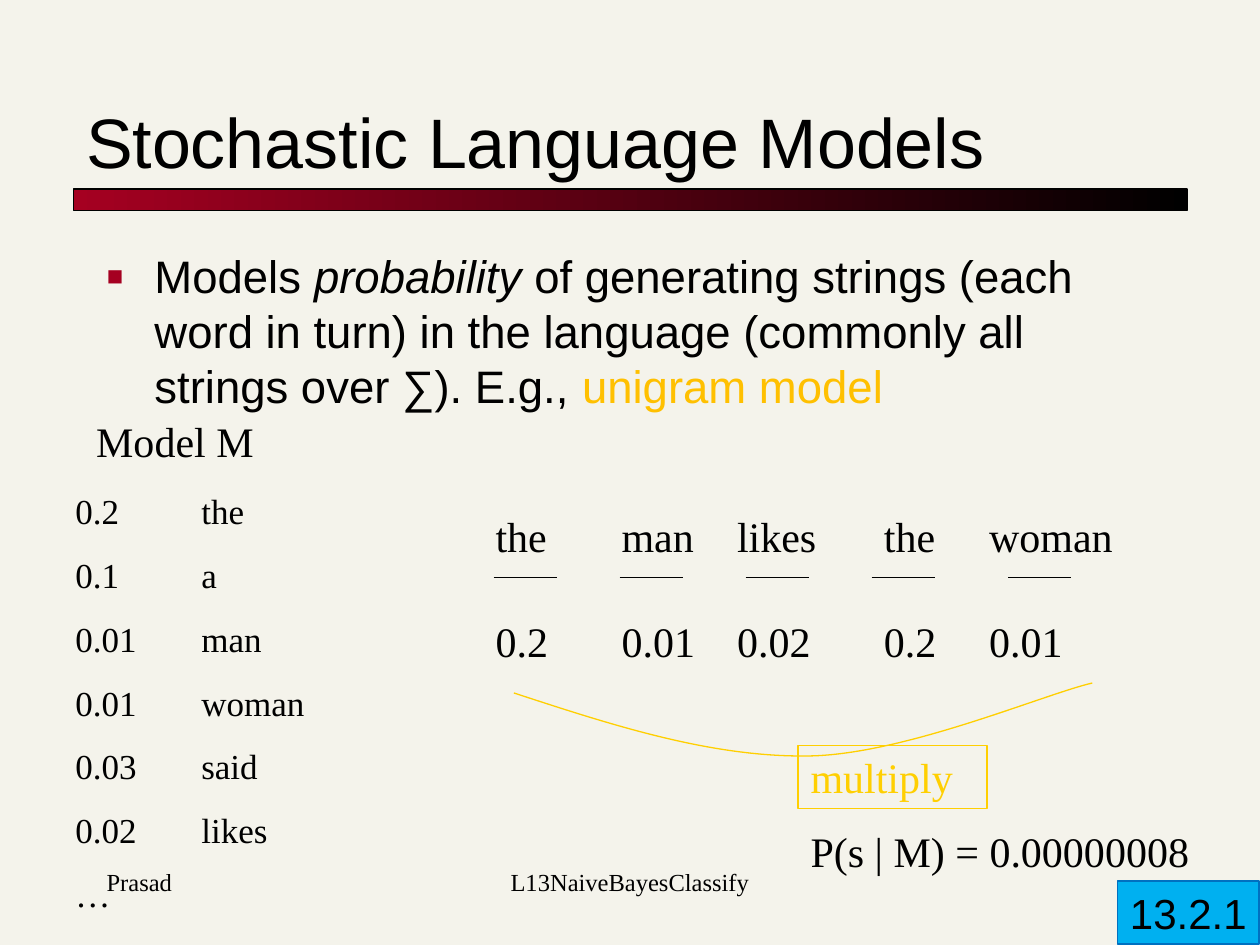
from pptx import Presentation
from pptx import util as u
from pptx.dml.color import RGBColor
from pptx.enum import shapes, text
from pptx.oxml import parse_xml
from pptx.oxml.ns import nsdecls, qn

Cm = u.Cm
COLORS = {
    "background": "F4F3EB", "black": "000000", "red": "A50021", "amber": "FFC000",
    "yellow": "FFCF01", "cyan": "00B0F0", "blue": "0070C0",
}
SERIF, SANS = "Times New Roman", "Arial"
LINE_WIDTH = u.Pt(0.75)


def color(name):
    return RGBColor.from_string(COLORS[name])


def write(shape, content, size, font=SERIF, ink="black", align=text.PP_ALIGN.LEFT, gap=0):
    """Fill a shape with text; gap is the space between paragraphs in points."""
    frame = shape.text_frame
    frame.text = content
    frame.word_wrap = True
    frame.auto_size = text.MSO_AUTO_SIZE.NONE
    for index, paragraph in enumerate(frame.paragraphs):
        paragraph.alignment = align
        paragraph.space_before = u.Pt(gap if index else 0)
        if "\t" in paragraph.text:
            paragraph._p.get_or_add_pPr().append(parse_xml(
                f'<a:tabLst {nsdecls("a")}><a:tab pos="{Cm(2.54)}" algn="l"/></a:tabLst>'))
        for run in paragraph.runs:
            run.font.size = u.Pt(size)
            run.font.name = font
            run.font.color.rgb = color(ink)


presentation = Presentation()
presentation.slide_width, presentation.slide_height = Cm(25.4), Cm(19.05)
slide = presentation.slides.add_slide(presentation.slide_layouts[1])
slide.background.fill.solid()
slide.background.fill.fore_color.rgb = color("background")

# Title and the bar under it
title = slide.shapes.title
title.left, title.top, title.width, title.height = Cm(1.48), Cm(1.07), Cm(22.43), Cm(2.74)
write(title, "Stochastic Language Models", 40, SANS)
title.text_frame.vertical_anchor = text.MSO_ANCHOR.BOTTOM

bar = slide.shapes.add_shape(
    shapes.MSO_SHAPE.RECTANGLE, Cm(1.48), Cm(3.81), Cm(22.45), Cm(0.43))
bar.shadow.inherit = False
bar.fill.gradient()
bar.fill.gradient_angle = 0
for stop, name in zip(bar.fill.gradient_stops, ("red", "black")):
    stop.color.rgb = color(name)
bar.line.color.rgb = color("black")
bar.line.width = LINE_WIDTH

# Bulleted statement
body = slide.placeholders[1]
body.left, body.top, body.width, body.height = Cm(1.9), Cm(4.88), Cm(21.59), Cm(3.81)
write(body, "Models ", 26, SANS)
statement = body.text_frame.paragraphs[0]
properties = statement._p.get_or_add_pPr()
properties.set("marL", str(Cm(0.96)))
properties.set("indent", str(-Cm(0.96)))
for bullet in (
    f'<a:buClr {nsdecls("a")}><a:srgbClr val="{COLORS["red"]}"/></a:buClr>',
    f'<a:buSzPct {nsdecls("a")} val="60000"/>',
    f'<a:buFont {nsdecls("a")} typeface="{SANS}"/>',
    f'<a:buChar {nsdecls("a")} char="■"/>',
):
    properties.append(parse_xml(bullet))
for words, italic, ink in (
    ("probability", True, "black"),
    (" of generating strings (each word in turn) in the language "
     "(commonly all strings over ∑). E.g., ", False, "black"),
    ("unigram model", False, "amber"),
):
    run = statement.add_run()
    run.text = words
    run.font.size = u.Pt(26)
    run.font.name = SANS
    run.font.italic = italic
    run.font.color.rgb = color(ink)

# Model table, labels and footers
model = [("0.2", "the"), ("0.1", "a"), ("0.01", "man"), ("0.01", "woman"),
         ("0.03", "said"), ("0.02", "likes"), ("…",)]
model_text = "\n".join("\t".join(row) for row in model)
LEFT, CENTER = text.PP_ALIGN.LEFT, text.PP_ALIGN.CENTER
for content, left, top, width, height, size, align in (
    ("Model M", 1.69, 8.26, 3.81, 1.27, 24, LEFT),
    (model_text, 1.27, 9.74, 6.77, 8.85, 20, LEFT),
    ("P(s | M) = 0.00000008", 16.09, 16.51, 8.26, 1.27, 24, LEFT),
    ("Prasad", 1.9, 17.36, 5.29, 1.27, 14, LEFT),
    ("L13NaiveBayesClassify", 8.68, 17.36, 8.04, 1.27, 14, CENTER),
):
    box = slide.shapes.add_textbox(Cm(left), Cm(top), Cm(width), Cm(height))
    write(box, content, size, align=align, gap=12.5)

# Words of the string, each over a rule and its probability
rules = slide.shapes.add_group_shape()
for word, probability, left, width, rule_left in (
    ("the", "0.2", 9.74, 1.7, 9.95),
    ("man", "0.01", 12.28, 2.12, 12.49),
    ("likes", "0.02", 14.61, 2.12, 15.03),
    ("the", "0.2", 17.57, 2.12, 17.57),
    ("woman", "0.01", 19.69, 3.81, 20.32),
):
    for content, top in ((word, 10.16), (probability, 12.28)):
        box = slide.shapes.add_textbox(Cm(left), Cm(top), Cm(width), Cm(1.27))
        write(box, content, 24)
    rule = rules.shapes.add_connector(
        shapes.MSO_CONNECTOR.STRAIGHT,
        Cm(rule_left), Cm(11.64), Cm(rule_left + 1.27), Cm(11.64))
    rule.line.color.rgb = color("black")
    rule.line.width = LINE_WIDTH
    rule._element.spPr.append(parse_xml(f'<a:effectLst {nsdecls("a")}/>'))

# Curve and label for the product
product = slide.shapes.add_group_shape()
curve_points = [(12.37, 14.63), (14.35, 15.27), (16.31, 15.24),
                (18.24, 15.21), (21.06, 13.99), (22.02, 13.77)]
builder = product.shapes.build_freeform(Cm(10.36), Cm(13.97))
builder.add_line_segments([(Cm(x), Cm(y)) for x, y in curve_points], close=False)
curve = builder.convert_to_shape()
segments = list(curve._element.iter(qn("a:lnTo")))
for start in range(0, len(segments), 3):
    bezier = parse_xml(f'<a:cubicBezTo {nsdecls("a")}/>')
    segments[start].addprevious(bezier)
    for segment in segments[start:start + 3]:
        bezier.append(segment[0])
        segment.getparent().remove(segment)

label = product.shapes.add_shape(
    shapes.MSO_SHAPE.RECTANGLE, Cm(16.09), Cm(15.03), Cm(3.81), Cm(1.27))
write(label, "multiply", 24, ink="yellow")
label.text_frame.vertical_anchor = text.MSO_ANCHOR.TOP
for shape in (curve, label):
    shape.shadow.inherit = False
    shape.fill.background()
    shape.line.color.rgb = color("yellow")
    shape.line.width = LINE_WIDTH

# Section number
section = slide.shapes.add_shape(
    shapes.MSO_SHAPE.RECTANGLE, Cm(22.53), Cm(17.76), Cm(2.85), Cm(1.27))
section.shadow.inherit = False
section.fill.solid()
section.fill.fore_color.rgb = color("cyan")
section.line.color.rgb = color("blue")
section.line.width = LINE_WIDTH
write(section, "13.2.1", 24, SANS)
section.text_frame.word_wrap = False

presentation.save("out.pptx")
